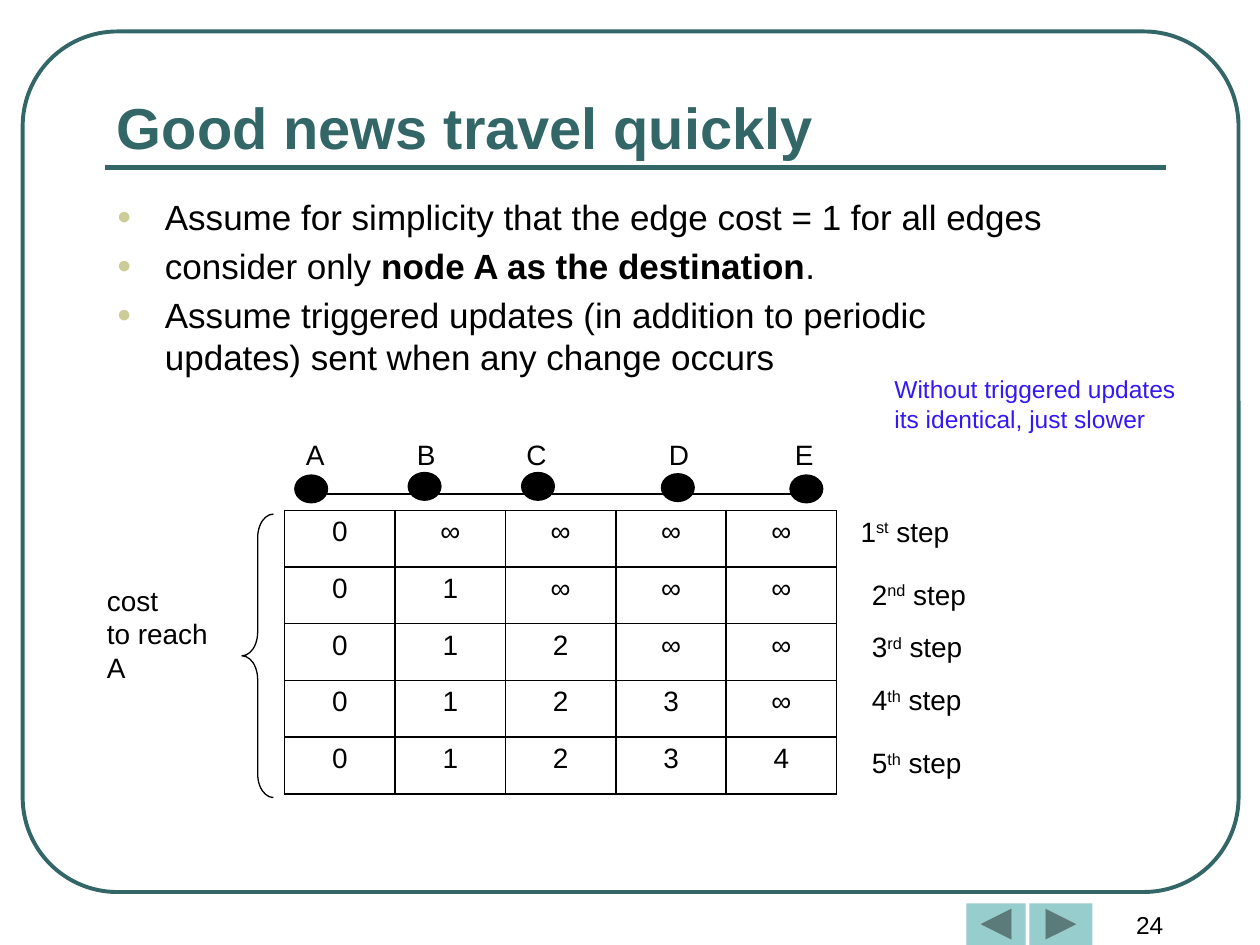
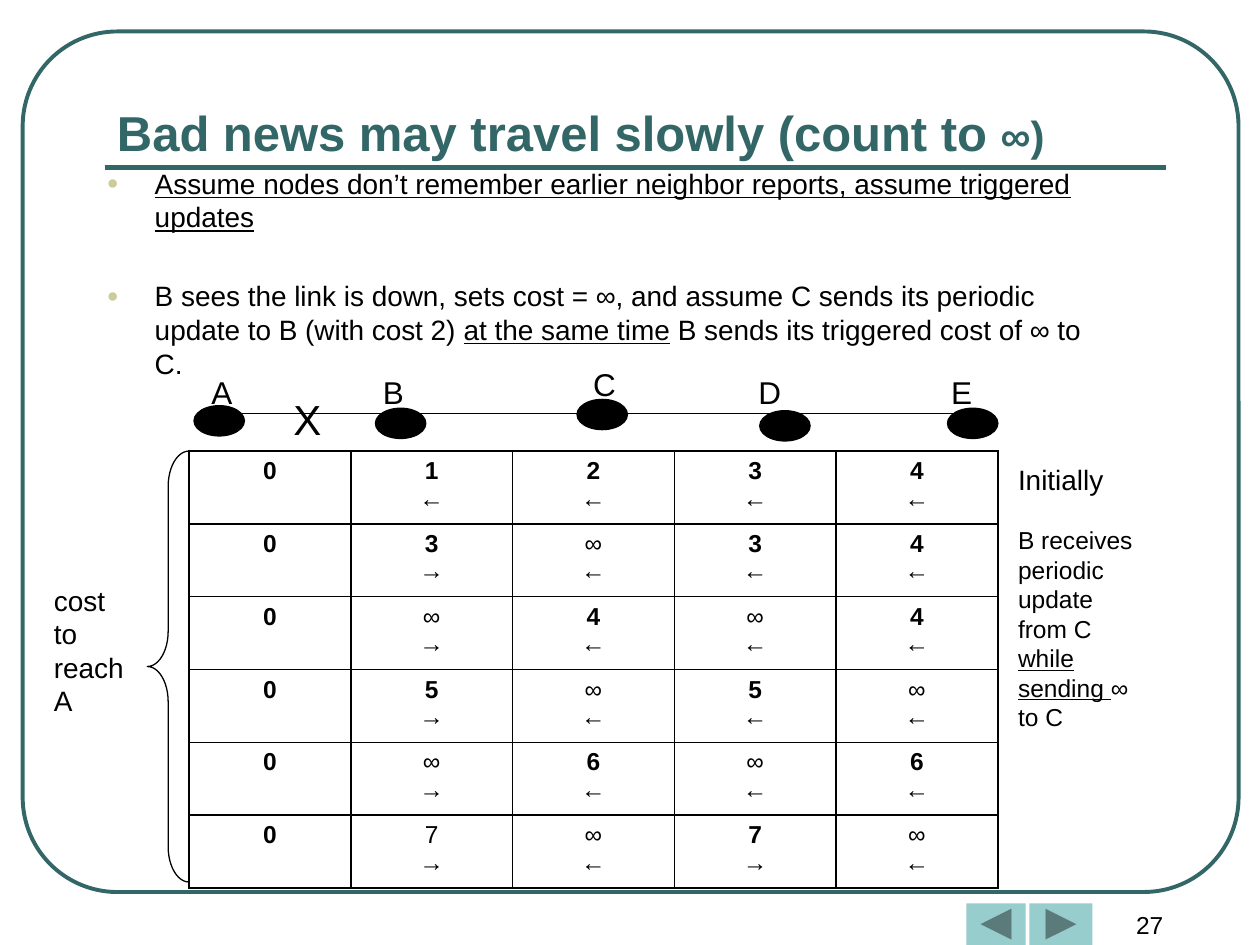
import pptx
import pptx.util
import pptx.dml.color
import pptx.enum.shapes
import pptx.enum.text
import pptx.oxml
import pptx.oxml.ns
import lxml.etree

Inches = pptx.util.Inches
Pt = pptx.util.Pt
Shape = pptx.enum.shapes.MSO_SHAPE
Align = pptx.enum.text.PP_ALIGN
Anchor = pptx.enum.text.MSO_ANCHOR
qn = pptx.oxml.ns.qn

COLORS = {"teal": "336666", "button": "97CDCC", "bullet": "CCCC99", "ink": "000000", "note": "3318FA"}
FONT = "Arial"
NODES = "ABCDE"
COST_LABEL = ["cost", "to reach", "A"]
UNDERLINE = {"underline": True}
BOLD = {"bold": True}
SUPERSCRIPT = {"baseline": "30000"}


def rgb(name):
    return pptx.dml.color.RGBColor.from_string(COLORS[name])


class Lesson:
    def __init__(self):
        self.deck = pptx.Presentation()
        self.deck.slide_width, self.deck.slide_height = Inches(10), Inches(7.5)
        self.page = None

    def start(self, title, number):
        self.page = self.deck.slides.add_slide(self.deck.slide_layouts[6])
        self.shape(Shape.ROUNDED_RECTANGLE, 0.18, 0.25, 9.65, 6.83, line="teal", weight=2.25, adjust=[0.11])
        self.line(0.83, 9.25, 1.33, "teal", 3)
        self.shape(Shape.ACTION_BUTTON_FORWARD_OR_NEXT, 8.17, 7.17, 0.5, 0.33, fill="button")
        self.shape(Shape.ACTION_BUTTON_BACK_OR_PREVIOUS, 7.67, 7.17, 0.47, 0.33, fill="button")
        self.text(8.25, 7.17, 1.75, 0.33, [str(number)], 14, align=Align.CENTER)
        self.text(0.83, 0.58, 8.42, 0.75, [title], 33, "teal", anchor=Anchor.BOTTOM, bold=True)

    def fill_text(self, frame, lines, size, color="ink", align=None, **base):
        for index, line in enumerate(lines):
            para = frame.paragraphs[0] if index == 0 else frame.add_paragraph()
            para.alignment = align
            for piece in [line] if isinstance(line, str) else line:
                if piece == "\v":
                    para.add_line_break()
                    continue
                words, extra = (piece, {}) if isinstance(piece, str) else piece
                span = para.add_run()
                span.text = words
                span.font.color.rgb = rgb(color)
                values = {"name": FONT, "size": Pt(size), **base, **extra}
                baseline = values.pop("baseline", None)
                for name, value in values.items():
                    setattr(span.font, name, value)
                if baseline:
                    span._r.get_or_add_rPr().set("baseline", baseline)

    def text(self, left, top, width, height, lines, size, color="ink", inset=None, anchor=Anchor.TOP, **style):
        box = self.page.shapes.add_textbox(Inches(left), Inches(top), Inches(width), Inches(height))
        frame = box.text_frame
        values = {"word_wrap": True, "vertical_anchor": anchor}
        if inset is not None:
            values.update({f"margin_{side}": Inches(inset) for side in ("left", "top", "right", "bottom")})
        for name, value in values.items():
            setattr(frame, name, value)
        self.fill_text(frame, lines, size, color, **style)
        return frame

    def bullets(self, left, top, width, height, lines, size, gap):
        frame = self.text(left, top, width, height, lines, size)
        for index, para in enumerate(frame.paragraphs):
            para.space_before = Pt(gap if index else size * 0.2)
            format_node = para._p.get_or_add_pPr()
            for name, value in {"marL": 0.38, "indent": -0.38}.items():
                format_node.set(name, str(Inches(value)))
            color = lxml.etree.SubElement(format_node, qn("a:buClr"))
            lxml.etree.SubElement(color, qn("a:srgbClr"), val=COLORS["bullet"])
            lxml.etree.SubElement(format_node, qn("a:buSzPct"), val="70000")
            lxml.etree.SubElement(format_node, qn("a:buFont"), typeface=FONT)
            lxml.etree.SubElement(format_node, qn("a:buChar"), char="●")

    def shape(self, kind, left, top, width, height, fill=None, line=None, weight=0.75, adjust=()):
        shape = self.page.shapes.add_shape(kind, Inches(left), Inches(top), Inches(width), Inches(height))
        shape.shadow.inherit = False
        for index, value in enumerate(adjust):
            shape.adjustments[index] = value
        for target, color in ((shape.fill, fill), (shape.line.fill, line)):
            if color:
                target.solid()
                target.fore_color.rgb = rgb(color)
            else:
                target.background()
        if line:
            shape.line.width = Pt(weight)

    def line(self, start, end, top, color="ink", weight=0.75):
        straight = pptx.enum.shapes.MSO_CONNECTOR.STRAIGHT
        line = self.page.shapes.add_connector(straight, Inches(start), Inches(top), Inches(end), Inches(top))
        line.line.color.rgb = rgb(color)
        line.line.width = Pt(weight)
        lxml.etree.SubElement(line._element.spPr, qn("a:effectLst"))

    def brace(self, left, top, width, height, curve):
        self.shape(Shape.LEFT_BRACE, left, top, width, height, line="ink", adjust=[curve, 0.5])

    def nodes(self, labels, dots, label_size, dot_size, size):
        for name, label, dot in zip(NODES, labels, dots):
            self.shape(Shape.OVAL, *dot, *dot_size, fill="ink", line="ink")
            self.text(*label, *label_size, [name], size)

    def table(self, left, top, width, height, rows, size):
        columns = len(rows[0])
        holder = self.page.shapes.add_table(
            len(rows), columns, Inches(left), Inches(top), Inches(width), Inches(height))
        table = holder.table
        table.first_row = table.horz_banding = False
        for column in table.columns:
            column.width = Inches(width / columns)
        for row, values in zip(table.rows, rows):
            row.height = Inches(height / len(rows))
            for cell, lines in zip(row.cells, values):
                self.fill_text(cell.text_frame, lines, size, align=Align.CENTER)
                self.border(cell)
                cell.fill.background()

    def border(self, cell):
        properties = cell._tc.get_or_add_tcPr()
        for side in "LRTB":
            edge = lxml.etree.SubElement(properties, qn(f"a:ln{side}"), w=str(Pt(1)))
            fill = lxml.etree.SubElement(edge, qn("a:solidFill"))
            lxml.etree.SubElement(fill, qn("a:srgbClr"), val=COLORS["ink"])


def route_cell(token):
    plain = token[0] in "~∞"
    token = token.lstrip("~")
    cost = [(token[0], {"bold": not plain})]
    return [cost, [(token[1], BOLD)]] if len(token) > 1 else [cost]


lesson = Lesson()

lesson.start("Good news travel quickly", 24)
lesson.bullets(0.83, 1.5, 7.58, 2, [
    "Assume for simplicity that the edge cost = 1 for all edges",
    ["consider only ", ("node A as the destination", BOLD), "."],
    "Assume triggered updates (in addition to periodic updates) sent when any change occurs",
], 20, 4)
lesson.line(2.46, 6.33, 3.92)
lesson.nodes(
    [(left, 3.42) for left in (2.33, 3.21, 4.08, 5.21, 6.21)],
    [(2.34, 3.77), (3.24, 3.75), (4.14, 3.75), (5.25, 3.76), (6.27, 3.77)],
    (0.38, 0.38), (0.26, 0.22), 16)
lesson.brace(1.92, 4.08, 0.25, 2.25, 0.75)
lesson.text(0.75, 4.58, 1.25, 1.36, COST_LABEL, 16)
steps = [(6.83, 4.08, "st"), (6.92, 4.58, "nd"), (6.92, 5, "rd"), (6.92, 5.42, "th"), (6.92, 5.92, "th")]
for number, (left, top, suffix) in enumerate(steps, 1):
    lesson.text(left, top, 1, 0.32, [[str(number), (suffix, SUPERSCRIPT), " step"]], 16, inset=0)
good_rows = [[[str(hop) if hop <= step else "∞"] for hop in range(5)] for step in range(5)]
lesson.table(2.26, 4.05, 4.38, 2.25, good_rows, 16)
lesson.text(7, 2.92, 2.63, 0.57, [["Without triggered updates", "\v", "its identical, just slower"]], 14, "note")

lesson.start([("Bad news may travel slowly (count to ", {"size": Pt(28)}), ("∞)", {"size": Pt(24)})], 27)
lesson.bullets(0.75, 1.27, 8.17, 1.85, [
    [("Assume nodes don’t remember earlier neighbor reports, assume triggered updates", UNDERLINE)],
    ["B sees the link is down, sets cost = ∞, and assume C sends its periodic update to B (with cost 2) ",
     ("at the same time", UNDERLINE), " B sends its triggered cost of ∞ to C."],
], 16, 26)
lesson.line(1.73, 7.68, 3.28)
lesson.text(2.23, 3.07, 0.57, 0.42, ["X"], 24)
lesson.nodes(
    [(1.58, 2.91), (2.94, 2.91), (4.61, 2.85), (5.92, 2.91), (7.45, 2.91)],
    [(1.54, 3.22), (2.98, 3.24), (4.58, 3.17), (6.03, 3.26), (7.52, 3.24)],
    (0.57, 0.42), (0.4, 0.24), 18)
bad_rows = [
    "0 1← 2← 3← 4←",
    "0 3→ ∞← 3← 4←",
    "0 ∞→ 4← ∞← 4←",
    "0 5→ ∞← 5← ∞←",
    "0 ∞→ 6← ∞← 6←",
    "0 ~7→ ∞← 7→ ∞←",
]
lesson.table(1.5, 3.58, 6.42, 3.47, [[route_cell(token) for token in row.split()] for row in bad_rows], 14)
lesson.brace(1.17, 3.58, 0.33, 3.42, 0.85)
lesson.text(0.33, 4.58, 0.83, 1.25, COST_LABEL, 16)
lesson.text(8.08, 3.67, 1, 0.32, ["Initially"], 16, inset=0)
lesson.text(8.08, 4.17, 1, 0.32, [
    ["B receives periodic update from C ", ("while sending ", UNDERLINE), "∞ to C"]], 14, inset=0)

lesson.deck.save("out.pptx")
